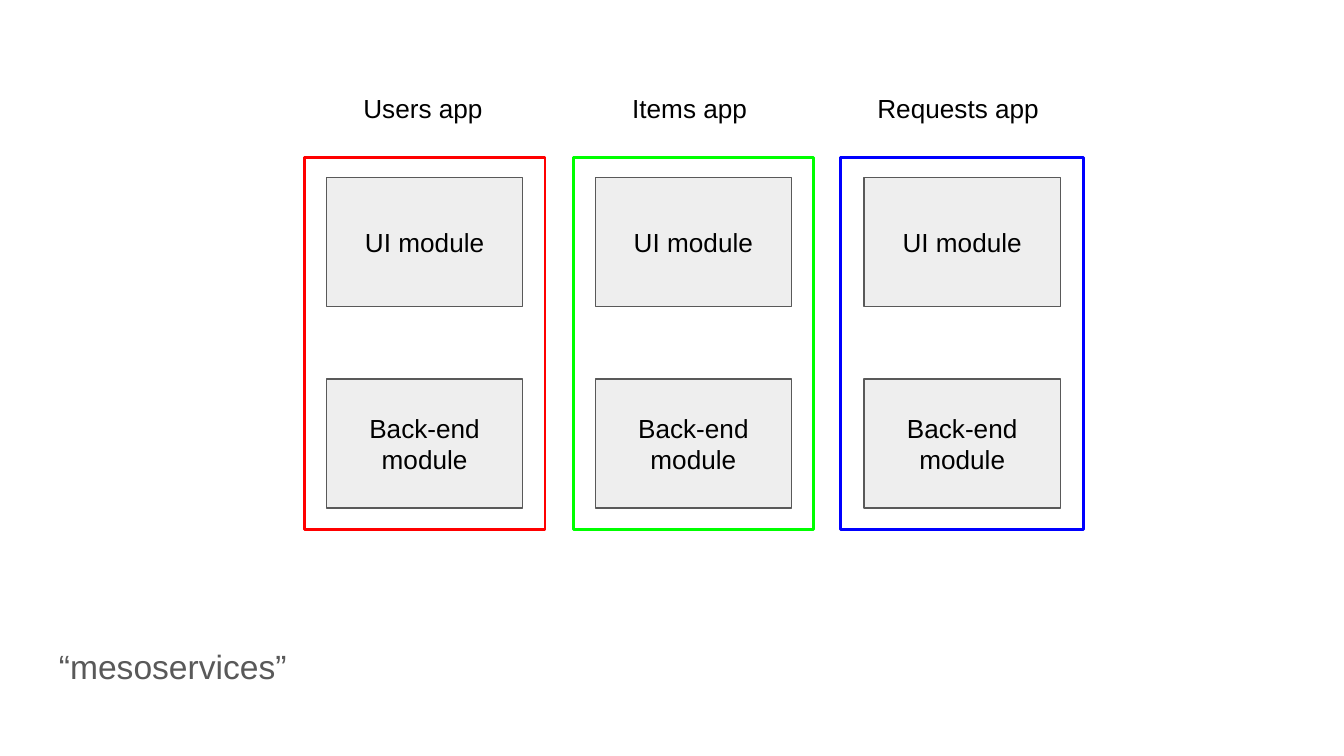
from dataclasses import dataclass

from pptx import Presentation
from pptx.dml.color import RGBColor
from pptx.enum.shapes import MSO_SHAPE as Shape
from pptx.enum.text import MSO_ANCHOR as Anchor, PP_ALIGN as Align
from pptx.util import Inches, Pt


@dataclass(frozen=True)
class Theme:
    font: str = "Arial"
    ink: str = "000000"
    muted: str = "595959"
    module_fill: str = "EEEEEE"
    body_size: float = 14
    caption_size: float = 18
    thin: float = 0.75
    thick: float = 1.5


@dataclass(frozen=True)
class App:
    name: str
    color: str
    label_width: float
    frame_width: float
    back_end: str


def write_text(shape, text, *, font, size, color, align=Align.LEFT, anchor=Anchor.TOP):
    """Fill a shape with text, one paragraph for each line."""
    frame = shape.text_frame
    frame.word_wrap = True
    frame.vertical_anchor = anchor
    frame.margin_left = frame.margin_right = Inches(0.1)
    frame.margin_top = frame.margin_bottom = Inches(0.1)
    frame.text = text
    for paragraph in frame.paragraphs:
        paragraph.alignment = align
        for run in paragraph.runs:
            run.font.name = font
            run.font.size = Pt(size)
            run.font.color.rgb = RGBColor.from_string(color)


class SlideBuilder:
    def __init__(self, slide, theme):
        self.slide = slide
        self.theme = theme

    def rectangle(self, left, top, width, height, *, line, weight, fill=None):
        shape = self.slide.shapes.add_shape(
            Shape.RECTANGLE, Inches(left), Inches(top), Inches(width), Inches(height))
        shape.shadow.inherit = False
        if fill:
            shape.fill.solid()
            shape.fill.fore_color.rgb = RGBColor.from_string(fill)
        else:
            shape.fill.background()
        shape.line.color.rgb = RGBColor.from_string(line)
        shape.line.width = Pt(weight)
        return shape

    def module(self, text, left, top, width, height):
        theme = self.theme
        shape = self.rectangle(left, top, width, height, line=theme.muted,
                               weight=theme.thin, fill=theme.module_fill)
        write_text(shape, text, font=theme.font, size=theme.body_size,
                   color=theme.ink, align=Align.CENTER, anchor=Anchor.MIDDLE)

    def app_frame(self, color, left, top, width, height):
        self.rectangle(left, top, width, height, line=color, weight=self.theme.thick)

    def label(self, text, left, top, width, height, *, size=None, color=None,
              anchor=Anchor.TOP):
        box = self.slide.shapes.add_textbox(
            Inches(left), Inches(top), Inches(width), Inches(height))
        write_text(box, text, font=self.theme.font, size=size or self.theme.body_size,
                   color=color or self.theme.ink, anchor=anchor)


APPS = [
    App("Users app", "FF0000", 1.11, 1.79, "Back-end\nmodule"),
    App("Items app", "00FF00", 1.11, 1.79, "Back-end\nmodule"),
    App("Requests app", "0000FF", 1.46, 1.81, "Back-end module"),
]
SLIDE_WIDTH = 10
FIRST_LEFT, COLUMN_STEP = 2.43, 2
MODULE_WIDTH, MODULE_HEIGHT = 1.46, 0.96
UI_TOP, BACK_END_TOP = 1.32, 2.82
FRAME_TOP, FRAME_HEIGHT = 1.17, 2.77
LABEL_TOP, LABEL_HEIGHT = 0.59, 0.49


def main():
    presentation = Presentation()
    presentation.slide_width = Inches(SLIDE_WIDTH)
    presentation.slide_height = Inches(SLIDE_WIDTH * 9 / 16)
    slide = presentation.slides.add_slide(presentation.slide_layouts[6])
    theme = Theme()
    builder = SlideBuilder(slide, theme)

    builder.label("“mesoservices”", 0.34, 4.63, 6.56, 0.66, size=theme.caption_size,
                  color=theme.muted, anchor=Anchor.MIDDLE)

    for column, app in enumerate(APPS):
        left = FIRST_LEFT + column * COLUMN_STEP
        center = left + MODULE_WIDTH / 2
        for text, top in (("UI module", UI_TOP), (app.back_end, BACK_END_TOP)):
            builder.module(text, left, top, MODULE_WIDTH, MODULE_HEIGHT)
        builder.app_frame(app.color, center - app.frame_width / 2, FRAME_TOP,
                          app.frame_width, FRAME_HEIGHT)
        builder.label(app.name, center - app.label_width / 2, LABEL_TOP,
                      app.label_width, LABEL_HEIGHT)

    presentation.save("out.pptx")


if __name__ == "__main__":
    main()
